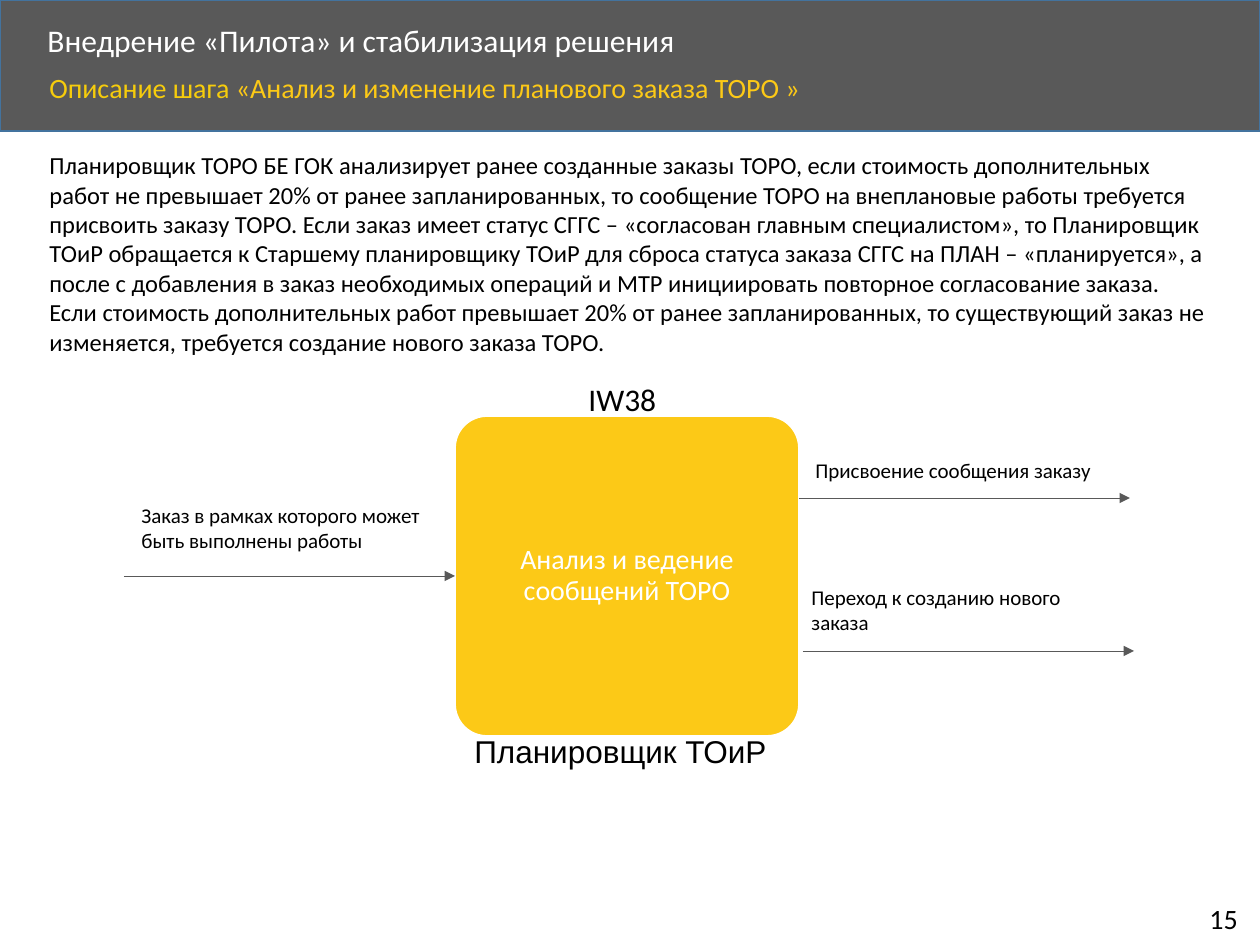
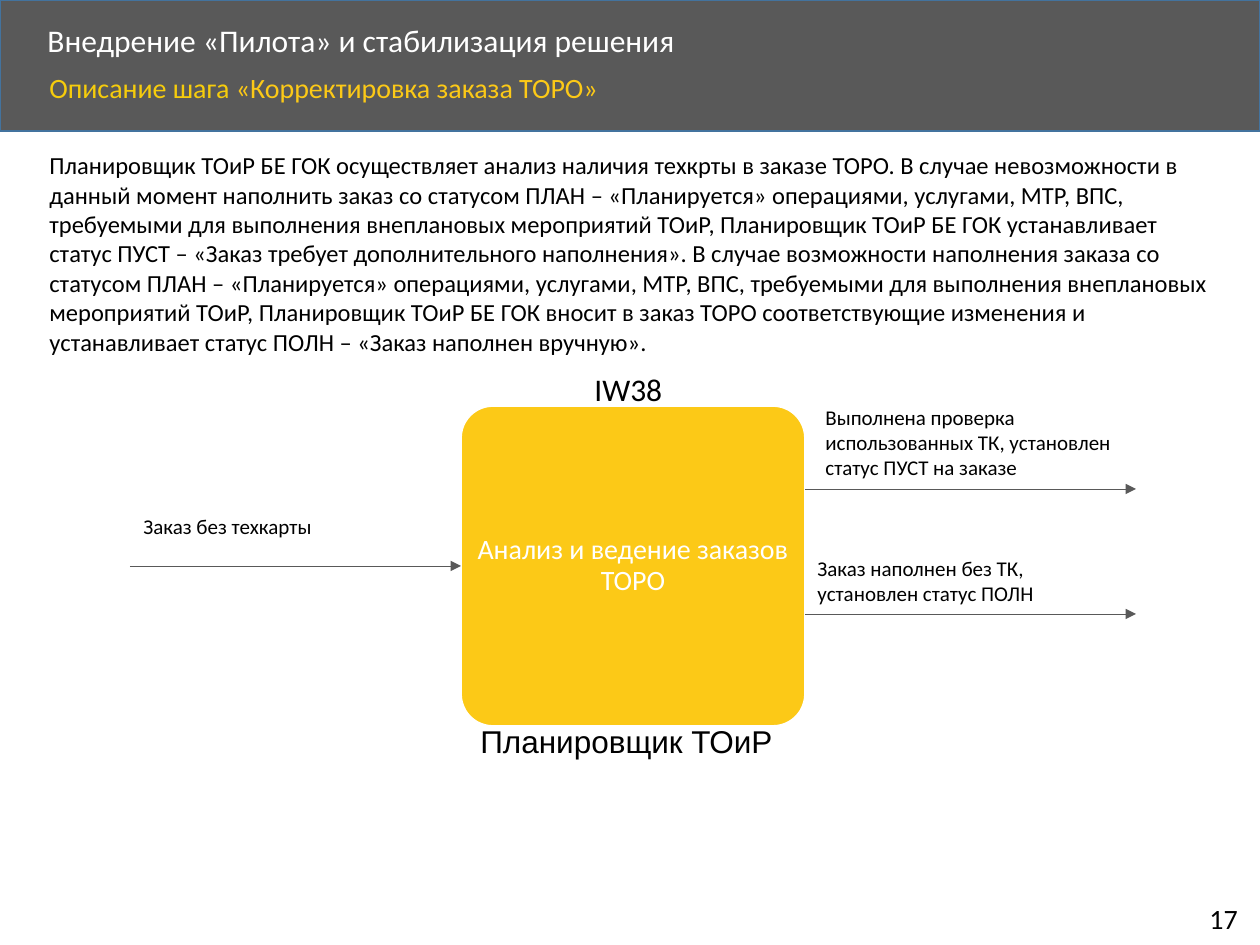
from dataclasses import dataclass

from lxml.etree import SubElement
from pptx import Presentation
from pptx.dml.color import RGBColor
from pptx.enum.shapes import MSO_CONNECTOR as Connector, MSO_SHAPE as Shape
from pptx.enum.text import MSO_ANCHOR as Anchor, PP_ALIGN as Align
from pptx.oxml.ns import qn
from pptx.util import Pt

PX = 914400 / 126  # EMU in one px
BOX_W, BOX_H = 344, 320
ARROW_W, LABEL_W = 331, 324


def px(n):
    return round(n * PX)


@dataclass(frozen=True)
class Theme:
    band: str = "595959"
    band_edge: str = "43739E"
    accent: str = "FCC917"
    lead: str = "F6CC0C"
    text: str = "000000"
    white: str = "FFFFFF"
    font: str = "Calibri"
    role_font: str = "Arial"
    title: int = 18
    subtitle: int = 16
    body: int = 14
    label: int = 12


class Deck:
    def __init__(self, theme):
        self.t = theme
        self.prs = Presentation()
        self.prs.slide_width, self.prs.slide_height = px(1260), px(945)
        self.s = None

    def new_slide(self):
        self.s = self.prs.slides.add_slide(self.prs.slide_layouts[6])

    def style(self, run, size, color, font=None):
        run.font.name = font or self.t.font
        run.font.size = Pt(size)
        run.font.color.rgb = RGBColor.from_string(color)

    def text(self, at, paragraphs, size, color=None, font=None,
             wrap=True, anchor=Anchor.TOP, spacing=None):
        sp = self.s.shapes.add_textbox(*map(px, at))
        tf = sp.text_frame
        tf.word_wrap = wrap
        tf.vertical_anchor = anchor
        tf.text = "\n".join(paragraphs)
        for p in tf.paragraphs:
            p.line_spacing = spacing
            for r in p.runs:
                self.style(r, size, color or self.t.text, font)
        return sp

    def block(self, kind, at, fill, edge):
        sp = self.s.shapes.add_shape(kind, *map(px, at))
        sp.shadow.inherit = False
        sp.fill.solid()
        sp.fill.fore_color.rgb = RGBColor.from_string(fill)
        sp.line.color.rgb = RGBColor.from_string(edge)
        sp.line.width = Pt(1)
        return sp

    def arrow(self, x, y, length, target=None):
        line = self.s.shapes.add_connector(
            Connector.STRAIGHT, px(x), px(y), px(x + length), px(y))
        if target is not None:
            line.end_connect(target, 1)
        line.line.color.rgb = RGBColor.from_string(self.t.band)
        line.line.width = Pt(0.5)
        SubElement(line.line._get_or_add_ln(), qn("a:tailEnd"), type="triangle")
        SubElement(line._element.spPr, qn("a:effectLst"))

    def label(self, x, y, lines, text):
        self.text((x, y, LABEL_W, 13 + 25 * lines), [text], self.t.label)

    def frame(self, step, number):
        t = self.t
        self.block(Shape.RECTANGLE, (0, 0, 1260, 131), t.band, t.band_edge)
        self.text((35, 18, 1017, 48), ["Внедрение «Пилота» и стабилизация решения"],
                  t.title, t.white, anchor=Anchor.MIDDLE, spacing=0.9)
        sp = self.text((37, 68, 1090, 57), ["Описание шага "],
                       t.subtitle, t.lead, spacing=0.9)
        r = sp.text_frame.paragraphs[0].add_run()
        r.text = step
        self.style(r, t.subtitle, t.accent)
        self.text((1197, 895, 58, 47), [str(number)], t.subtitle, wrap=False)

    def process(self, x, y, text):
        """Process box with its transaction above and its role below."""
        t = self.t
        sp = self.block(Shape.ROUNDED_RECTANGLE, (x, y, BOX_W, BOX_H),
                        t.accent, t.white)
        sp.adjustments[0] = 0.1
        tf = sp.text_frame
        tf.word_wrap = True
        tf.vertical_anchor = Anchor.MIDDLE
        tf.margin_left = tf.margin_right = tf.margin_top = tf.margin_bottom = px(1)
        tf.text = text
        p = tf.paragraphs[0]
        p.alignment = Align.CENTER
        p.line_spacing = 0.9
        self.style(p.runs[0], t.subtitle, t.white)
        self.text((x + 121, y - 42, 94, 50), ["IW38"], t.title, wrap=False)
        self.text((x + 7, y + 310, 329, 50), ["Планировщик ТОиР"],
                  t.title, font=t.role_font)
        return sp


# Labels are (x, y, lines, text); each output adds its arrow start (x, y)
STEPS = [
    dict(
        number=15,
        step="«Анализ и изменение планового заказа ТОРО »",
        body=[
            "Планировщик ТОРО БЕ ГОК анализирует ранее созданные заказы ТОРО, если "
            "стоимость дополнительных работ не превышает 20% от ранее запланированных, "
            "то сообщение ТОРО на внеплановые работы требуется присвоить заказу ТОРО. "
            "Если заказ имеет статус СГГС – «согласован главным специалистом», то "
            "Планировщик ТОиР обращается к Старшему планировщику ТОиР для сброса "
            "статуса заказа СГГС на ПЛАН – «планируется», а после с добавления в заказ "
            "необходимых операций и МТР инициировать повторное согласование заказа.",
            "Если стоимость дополнительных работ превышает 20% от ранее "
            "запланированных, то существующий заказ не изменяется, требуется создание "
            "нового заказа ТОРО.",
        ],
        box=(455, 416, "Анализ и ведение сообщений ТОРО"),
        source=(129, 496, 2, "Заказ в рамках которого может быть выполнены работы"),
        outputs=[
            ((803, 451, 1, "Присвоение сообщения заказу"), (799, 498)),
            ((799, 578, 2, "Переход к созданию нового заказа"), (803, 651)),
        ],
    ),
    dict(
        number=17,
        step="«Корректировка заказа ТОРО»",
        body=[
            "Планировщик ТОиР БЕ ГОК осуществляет анализ наличия техкрты в заказе ТОРО. "
            "В случае невозможности в данный момент наполнить заказ со статусом ПЛАН – "
            "«Планируется» операциями, услугами, МТР, ВПС, требуемыми для выполнения "
            "внеплановых мероприятий ТОиР, Планировщик ТОиР БЕ ГОК устанавливает статус "
            "ПУСТ – «Заказ требует дополнительного наполнения». В случае возможности "
            "наполнения заказа со статусом ПЛАН – «Планируется» операциями, услугами, "
            "МТР, ВПС, требуемыми для выполнения внеплановых мероприятий ТОиР, "
            "Планировщик ТОиР БЕ ГОК вносит в заказ ТОРО соответствующие изменения и "
            "устанавливает статус ПОЛН – «Заказ наполнен вручную».",
        ],
        box=(461, 406, "Анализ и ведение заказов ТОРО"),
        source=(131, 507, 1, "Заказ без техкарты"),
        outputs=[
            ((813, 398, 3, "Выполнена проверка использованных ТК, установлен статус "
                           "ПУСТ на заказе"), (805, 489)),
            ((805, 549, 2, "Заказ наполнен без ТК, установлен статус ПОЛН"), (805, 614)),
        ],
    ),
]


def main():
    deck = Deck(Theme())
    for step in STEPS:
        # Header, page number and description
        deck.new_slide()
        deck.frame(step["step"], step["number"])
        deck.text((37, 144, 1192, 221), step["body"], deck.t.body)

        # Process with its input
        x, y, _ = step["box"]
        box = deck.process(*step["box"])
        deck.arrow(x - ARROW_W, y + BOX_H // 2, ARROW_W, target=box)
        deck.label(*step["source"])

        # Outputs
        for label, start in step["outputs"]:
            deck.arrow(*start, ARROW_W)
            deck.label(*label)
    deck.prs.save("out.pptx")


if __name__ == "__main__":
    main()
